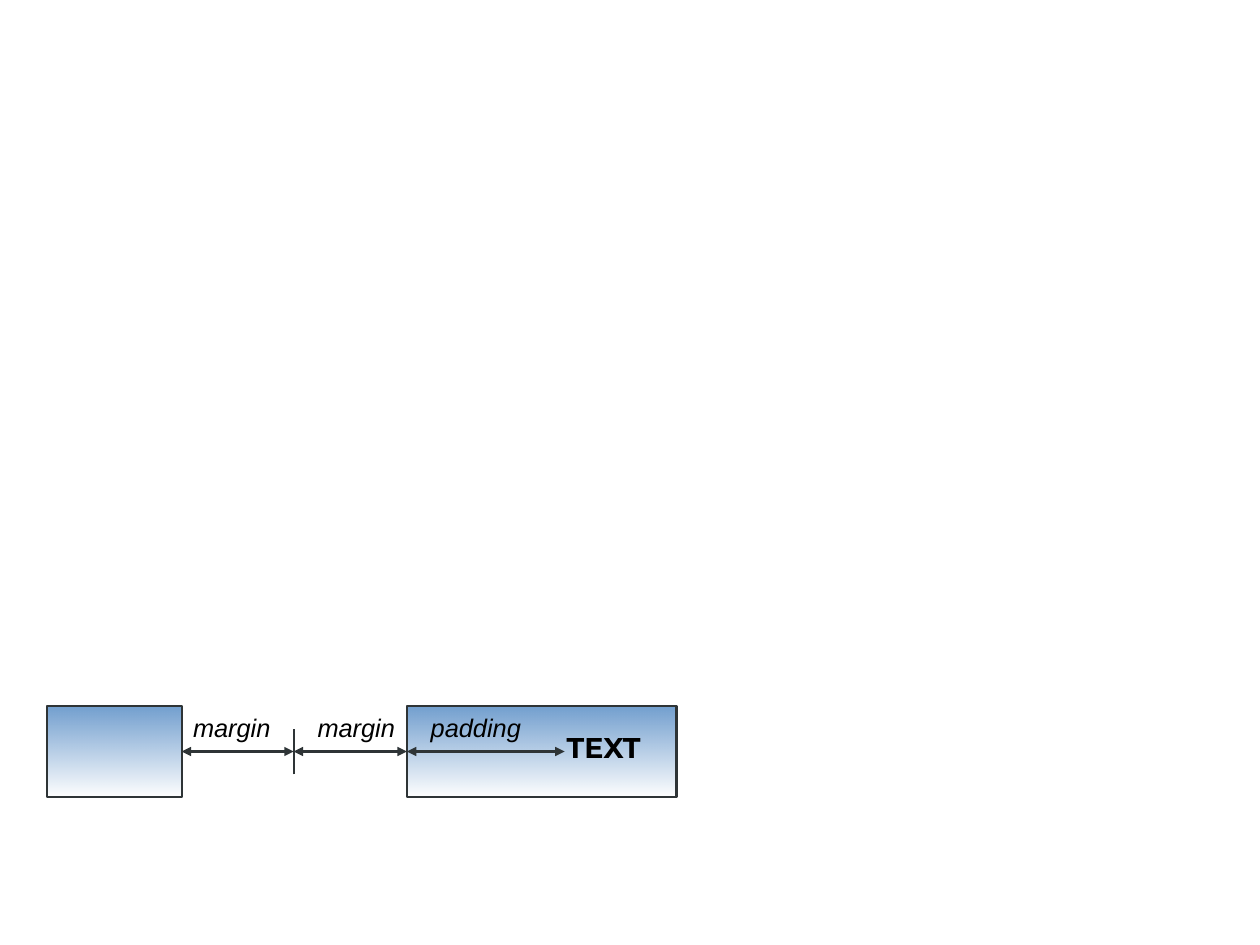
from lxml.etree import SubElement
from pptx import Presentation
from pptx.dml.color import RGBColor as RGB
from pptx.enum.shapes import MSO_CONNECTOR as Conn, MSO_SHAPE as Shape
from pptx.enum.text import MSO_AUTO_SIZE as Fit
from pptx.oxml.ns import qn
from pptx.util import Inches, Pt

THEME = {
    "ink": RGB.from_string("2E3436"),
    "blue": RGB.from_string("729FCF"),
    "black": RGB.from_string("000000"),
    "line": 1.42, "label": 16, "text": 18,
    "sans": "Arial", "bold": "Montserrat",
}

SIZE = (28 / 2.54, 21 / 2.54)  # 28 by 21 cm
TOP, HIGH = 6.18, 0.79
MID = TOP + HIGH / 2
LEFT, SPLIT, RIGHT, INNER = 1.59, 2.57, 3.56, 4.94
TICK = 0.2

BOXES = [(0.41, LEFT), (RIGHT, 5.92)]
ARROWS = [(LEFT, SPLIT), (RIGHT, SPLIT), (RIGHT, INNER)]
LABELS = [("margin", LEFT, 0.88), ("margin", 2.68, 0.88), ("padding", 3.67, 0.99)]
TEXT = ("TEXT", 4.86, 6.34, 1.16, 0.45)


def ink(item):
    item.line.color.rgb = THEME["ink"]
    item.line.width = Pt(THEME["line"])


def add_box(parts, left, right):
    """Draw a box whose blue fades to clear at the bottom."""
    box = parts.add_shape(Shape.RECTANGLE, Inches(left), Inches(TOP),
                          Inches(right - left), Inches(HIGH))
    box.shadow.inherit = False
    box.fill.gradient()
    box.fill.gradient_angle = 270
    for stop, place in zip(box.fill.gradient_stops, (0, 1)):
        stop.color.rgb = THEME["blue"]
        stop.position = place
    last = list(box._element.spPr.iter(qn("a:srgbClr")))[-1]
    SubElement(last, qn("a:alpha"), val="0")
    ink(box)


def add_line(parts, x1, y1, x2, y2, heads=False):
    line = parts.add_connector(Conn.STRAIGHT, Inches(x1), Inches(y1),
                               Inches(x2), Inches(y2))
    ink(line)
    props = line._element.spPr
    if heads:
        for end in ("a:headEnd", "a:tailEnd"):
            SubElement(props.find(qn("a:ln")), qn(end), type="triangle")
    SubElement(props, qn("a:effectLst"))


def add_text(parts, text, left, top, width, high, *, font, size,
             bold=False, italic=False, wrap=False):
    frame = parts.add_textbox(Inches(left), Inches(top),
                              Inches(width), Inches(high)).text_frame
    frame.word_wrap = wrap
    frame.auto_size = Fit.SHAPE_TO_FIT_TEXT
    run = frame.paragraphs[0].add_run()
    run.text = text
    style = run.font
    style.name, style.size = font, Pt(size)
    style.bold, style.italic = bold, italic
    style.color.rgb = THEME["black"]


def main():
    deck = Presentation()
    deck.slide_width, deck.slide_height = map(Inches, SIZE)
    slide = deck.slides.add_slide(deck.slide_layouts[6])
    parts = slide.shapes.add_group_shape().shapes
    for left, right in BOXES:
        add_box(parts, left, right)
    add_line(parts, SPLIT, MID + TICK, SPLIT, MID - TICK)
    for start, end in ARROWS:
        add_line(parts, start, MID, end, MID, heads=True)
    for word, left, width in LABELS:
        add_text(parts, word, left, TOP, width, 0.35, font=THEME["sans"],
                 size=THEME["label"], italic=True)
    add_text(parts, *TEXT, font=THEME["bold"], size=THEME["text"],
             bold=True, wrap=True)
    deck.save("out.pptx")


if __name__ == "__main__":
    main()
